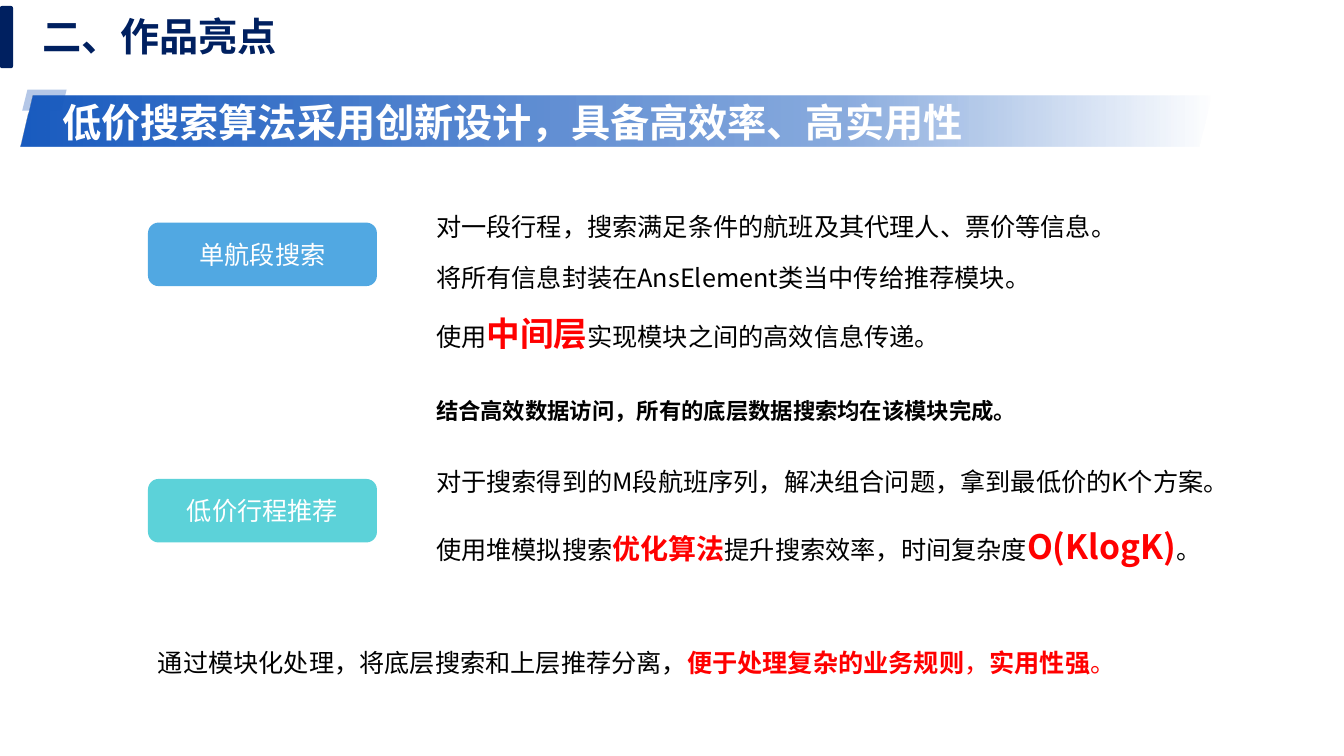
from dataclasses import dataclass

from lxml.etree import SubElement
from pptx import Presentation
from pptx.dml.color import RGBColor
from pptx.enum.shapes import MSO_SHAPE
from pptx.enum.text import MSO_ANCHOR, MSO_AUTO_SIZE, PP_ALIGN
from pptx.oxml import parse_xml
from pptx.oxml.ns import nsdecls, qn
from pptx.shapes.autoshape import Shape
from pptx.util import Cm, Pt

FONT = "Noto Sans CJK SC"
NAVY = RGBColor(0x00, 0x20, 0x60)
PALE = RGBColor(0xB4, 0xC7, 0xE7)
BLUE = RGBColor(0x1A, 0x5C, 0xC0)
SKY = RGBColor(0x51, 0xA8, 0xE2)
TEAL = RGBColor(0x5C, 0xD2, 0xD9)
RED = RGBColor(0xFF, 0x00, 0x00)
BLACK = RGBColor(0x00, 0x00, 0x00)
WHITE = RGBColor(0xFF, 0xFF, 0xFF)

LEFT = 3.73   # buttons and summary
BODY = 10.74  # explanations


@dataclass
class Span:
    text: str
    size: int = 18
    color: RGBColor = BLACK
    bold: bool = False


@dataclass
class Box:
    left: float
    top: float
    width: float
    height: float
    lines: list[list[Span]]
    wrap: bool = True
    space: float | None = None


@dataclass
class Button:
    top: float
    text: str
    color: RGBColor


HEADER = Box(0.81, 0.18, 6.5, 1.45, [[Span("二、作品亮点", 28, NAVY, True)]], False)
TITLE = Box(1.32, 2.36, 23.44, 1.45, [[
    Span("低价搜索算法采用创新设计，具备高效率、高实用性", 28, WHITE, True)]], False)

BUTTONS = [Button(5.61, "单航段搜索", SKY), Button(12.07, "低价行程推荐", TEAL)]

NOTES = [
    Box(BODY, 4.67, 19.08, 2.69, [
        [Span("对一段行程，搜索满足条件的航班及其代理人、票价等信息。")],
        [Span("将所有信息封装在AnsElement类当中传给推荐模块。")],
    ], space=1.7),
    Box(BODY, 7.75, 13.21, 1.27, [[
        Span("使用"),
        Span("中间层", 24, RED, True),
        Span("实现模块之间的高效信息传递。"),
    ]], False),
    Box(BODY, 9.88, 15.52, 0.94, [[
        Span("结合高效数据访问，所有的底层数据搜索均在该模块完成。", 16, BLACK, True)]]),
    Box(BODY, 11.63, 20.42, 1.02, [[
        Span("对于搜索得到的M段航班序列，解决组合问题，拿到最低价的K个方案。")]]),
    Box(BODY, 13.13, 20.12, 1.27, [[
        Span("使用堆模拟搜索"),
        Span("优化算法", 20, RED, True),
        Span("提升搜索效率，时间复杂度"),
        Span("O(KlogK)", 24, RED, True),
        Span("。"),
    ]]),
    Box(LEFT, 16.18, 26.39, 1.02, [[
        Span("通过模块化处理，将底层搜索和上层推荐分离，"),
        Span("便于处理复杂的业务规则", 18, RED, True),
        Span("，", 18, RED),
        Span("实用性强", 18, RED, True),
        Span("。", 18, RED),
    ]]),
]


def style(run, span: Span) -> None:
    font = run.font
    font.name = FONT
    font.size = Pt(span.size)
    font.bold = span.bold
    font.color.rgb = span.color
    SubElement(run._r.get_or_add_rPr(), qn("a:ea")).set("typeface", FONT)


def write(shapes, box: Box) -> None:
    area = shapes.add_textbox(Cm(box.left), Cm(box.top), Cm(box.width), Cm(box.height))
    frame = area.text_frame
    frame.word_wrap = box.wrap
    frame.auto_size = MSO_AUTO_SIZE.SHAPE_TO_FIT_TEXT
    for i, line in enumerate(box.lines):
        para = frame.add_paragraph() if i else frame.paragraphs[0]
        if box.space:
            para.line_spacing = box.space
        for span in line:
            run = para.add_run()
            run.text = span.text
            style(run, span)


def block(shapes, kind: MSO_SHAPE, left: float, top: float,
          width: float, height: float, color: RGBColor) -> Shape:
    shape = shapes.add_shape(kind, Cm(left), Cm(top), Cm(width), Cm(height))
    shape.shadow.inherit = False
    shape.fill.solid()
    shape.fill.fore_color.rgb = color
    shape.line.fill.background()
    return shape


def fade(shape: Shape, color: RGBColor) -> None:
    """Fade the fill from solid on the left to clear on the right."""
    stops = "".join(
        f'<a:gs pos="{pos * 1000}"><a:srgbClr val="{color}">'
        f'<a:alpha val="{alpha * 1000}"/></a:srgbClr></a:gs>'
        for pos, alpha in ((0, 100), (69, 51), (100, 0)))
    grad = parse_xml(f'<a:gradFill {nsdecls("a")} rotWithShape="1"><a:gsLst>{stops}</a:gsLst>'
                     '<a:lin ang="0" scaled="0"/></a:gradFill>')
    props = shape._element.spPr
    props.replace(props.find(qn("a:solidFill")), grad)


def press(shapes, button: Button) -> None:
    shape = block(shapes, MSO_SHAPE.ROUNDED_RECTANGLE, LEFT, button.top, 5.77, 1.6, button.color)
    frame = shape.text_frame
    frame.text = button.text
    frame.vertical_anchor = MSO_ANCHOR.MIDDLE
    para = frame.paragraphs[0]
    para.alignment = PP_ALIGN.CENTER
    style(para.runs[0], Span(button.text, 18, WHITE))


def main() -> None:
    deck = Presentation()
    deck.slide_width, deck.slide_height = Cm(33.87), Cm(19.05)
    shapes = deck.slides.add_slide(deck.slide_layouts[6]).shapes

    # Side bar
    block(shapes, MSO_SHAPE.ROUNDED_RECTANGLE, 0, 0.15, 0.33, 1.57, NAVY)

    # Banner with title
    banner = shapes.add_group_shape().shapes
    block(banner, MSO_SHAPE.PARALLELOGRAM, 0.56, 2.26, 1.12, 0.53, PALE)
    fade(block(banner, MSO_SHAPE.PARALLELOGRAM, 0.51, 2.41, 30.02, 1.27, BLUE), BLUE)
    write(banner, TITLE)

    # Header
    write(shapes, HEADER)

    # Module buttons
    for button in BUTTONS:
        press(shapes, button)

    # Explanations and summary
    for note in NOTES:
        write(shapes, note)

    deck.save("out.pptx")


if __name__ == "__main__":
    main()
